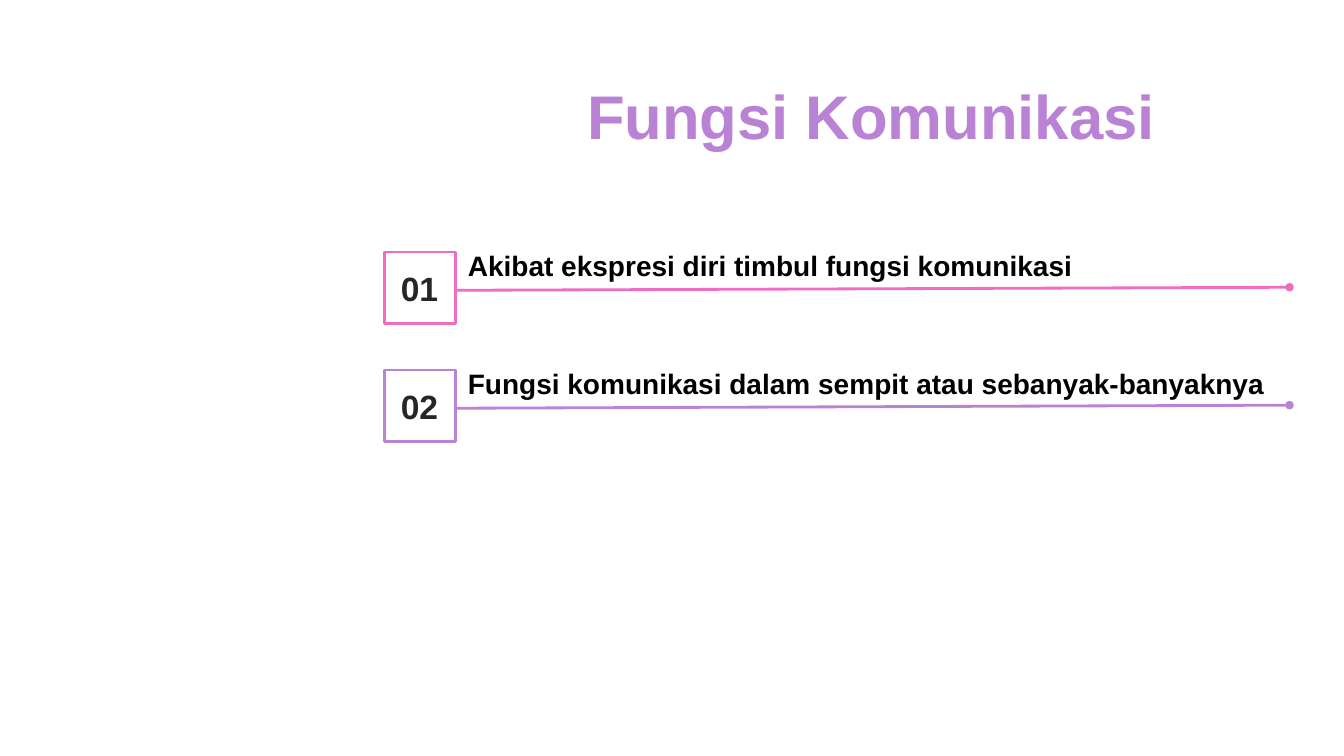
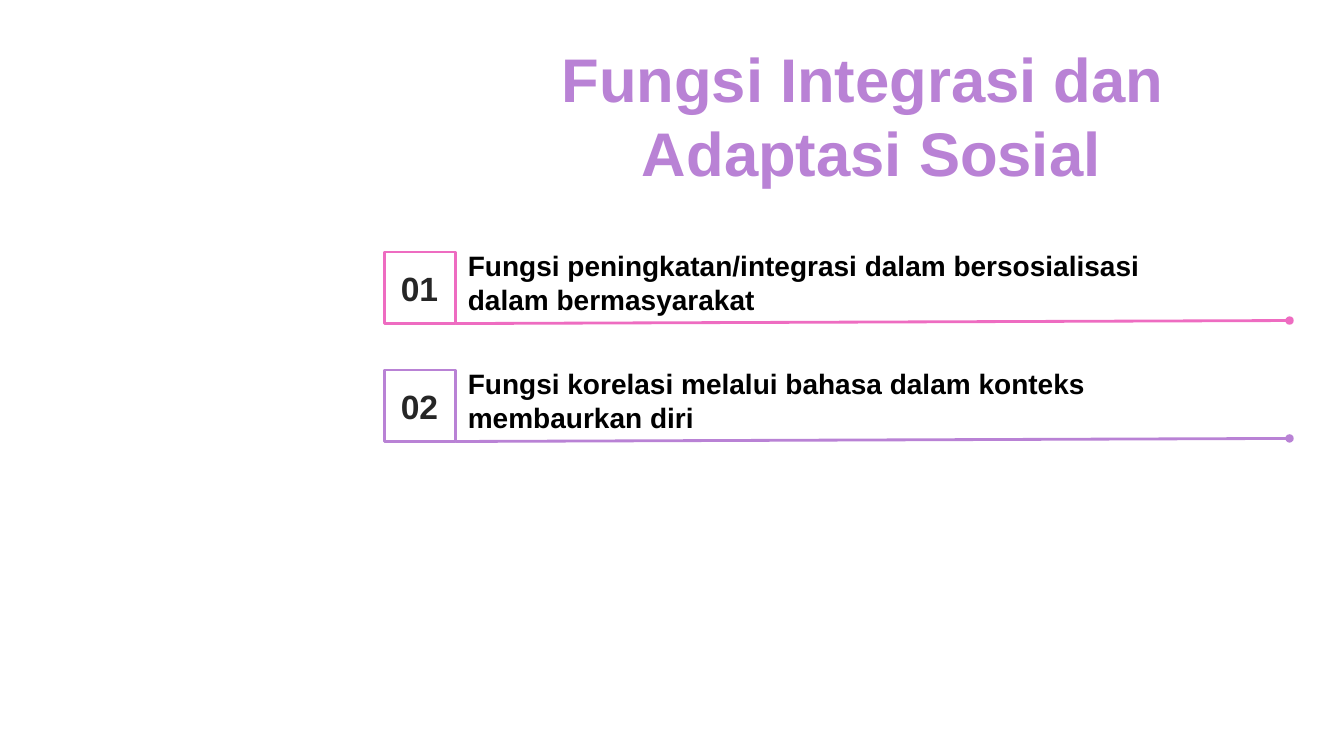
"""Build two slides of numbered points on the functions of communication."""
from lxml.etree import SubElement as Sub
from pptx import Presentation as Deck
from pptx.dml.color import RGBColor
from pptx.enum.shapes import MSO_CONNECTOR as Link, MSO_SHAPE as Form
from pptx.enum.text import MSO_ANCHOR as Anchor, MSO_AUTO_SIZE as Fit, PP_ALIGN as Align
from pptx.oxml.ns import qn
from pptx.util import Inches, Pt

PINK, PURPLE, WHITE, BLACK, DARK = "EE6CC1", "B982D5", "FFFFFF", "000000", "262626"
FONT = "Arial"
LEFT, SIDE, END = 3.81, 0.71, 12.79
TOP, STEP = 2.42, 1.17


def tint(code):
    return RGBColor.from_string(code)


def write(box, text, size=20, color=BLACK, align=Align.LEFT, anchor=Anchor.TOP, pad=0.12):
    frame = box.text_frame
    frame.word_wrap = True
    frame.auto_size = Fit.SHAPE_TO_FIT_TEXT
    frame.vertical_anchor = anchor
    frame.margin_left = frame.margin_right = Inches(pad)
    frame.margin_top = frame.margin_bottom = Inches(0.05)
    frame.text = text
    for para in frame.paragraphs:
        para.alignment = align
        for run in para.runs:
            font = run.font
            font.name, font.size, font.bold = FONT, Pt(size), True
            font.color.rgb = tint(color)


class Maker:
    def __init__(self):
        self.deck = Deck()
        self.deck.slide_width = Inches(13.33)
        self.deck.slide_height = Inches(7.5)
        self.slide = None

    def page(self):
        self.slide = self.deck.slides.add_slide(self.deck.slide_layouts[6])
        fill = self.slide.background.fill
        fill.solid()
        fill.fore_color.rgb = tint(WHITE)

    def text(self, text, x, y, w, h, **style):
        box = self.slide.shapes.add_textbox(Inches(x), Inches(y), Inches(w), Inches(h))
        write(box, text, **style)

    def title(self, text, y, h):
        self.text(text, 4.18, y, 8.93, h, size=44, color=PURPLE,
                  align=Align.CENTER, anchor=Anchor.MIDDLE, pad=0.1)

    def rule(self, y, color):
        line = self.slide.shapes.add_connector(
            Link.STRAIGHT, Inches(LEFT + SIDE), Inches(y), Inches(END), Inches(y - 0.03))
        line.line.width = Pt(2)
        line.line.color.rgb = tint(color)
        Sub(line.line._get_or_add_ln(), qn("a:tailEnd"), type="oval")
        Sub(line._element.spPr, qn("a:effectLst"))

    def square(self, y, color):
        box = self.slide.shapes.add_shape(
            Form.RECTANGLE, Inches(LEFT), Inches(y), Inches(SIDE), Inches(SIDE))
        box.shadow.inherit = False
        box.fill.solid()
        box.fill.fore_color.rgb = tint(WHITE)
        box.line.width = Pt(2)
        box.line.color.rgb = tint(color)

    def point(self, num, text, color, wide, high):
        y = TOP + (num - 1) * STEP
        self.text(text, LEFT + SIDE, y, wide, high)
        self.rule(y + high + 0.02, color)
        self.square(y + 0.08, color)
        self.text(f"{num:02}", 3.85, y + 0.19, 0.62, 0.5,
                  size=24, color=DARK, align=Align.CENTER)


PAGES = [
    ("Fungsi Komunikasi", 0.72, 0.84, 0.44,
     ["Akibat ekspresi diri timbul fungsi komunikasi",
      "Fungsi komunikasi dalam sempit atau sebanyak-banyaknya"]),
    ("Fungsi Integrasi dan \nAdaptasi Sosial", 0.35, 1.58, 0.77,
     ["Fungsi peningkatan/integrasi dalam bersosialisasi dalam bermasyarakat",
      "Fungsi korelasi melalui bahasa dalam konteks \nmembaurkan diri"]),
]

maker = Maker()
for title, y, tall, high, points in PAGES:
    maker.page()
    maker.title(title, y, tall)
    for num, (text, color, wide) in enumerate(zip(points, (PINK, PURPLE), (7.73, 8.24)), 1):
        maker.point(num, text, color, wide, high)
maker.deck.save("out.pptx")
